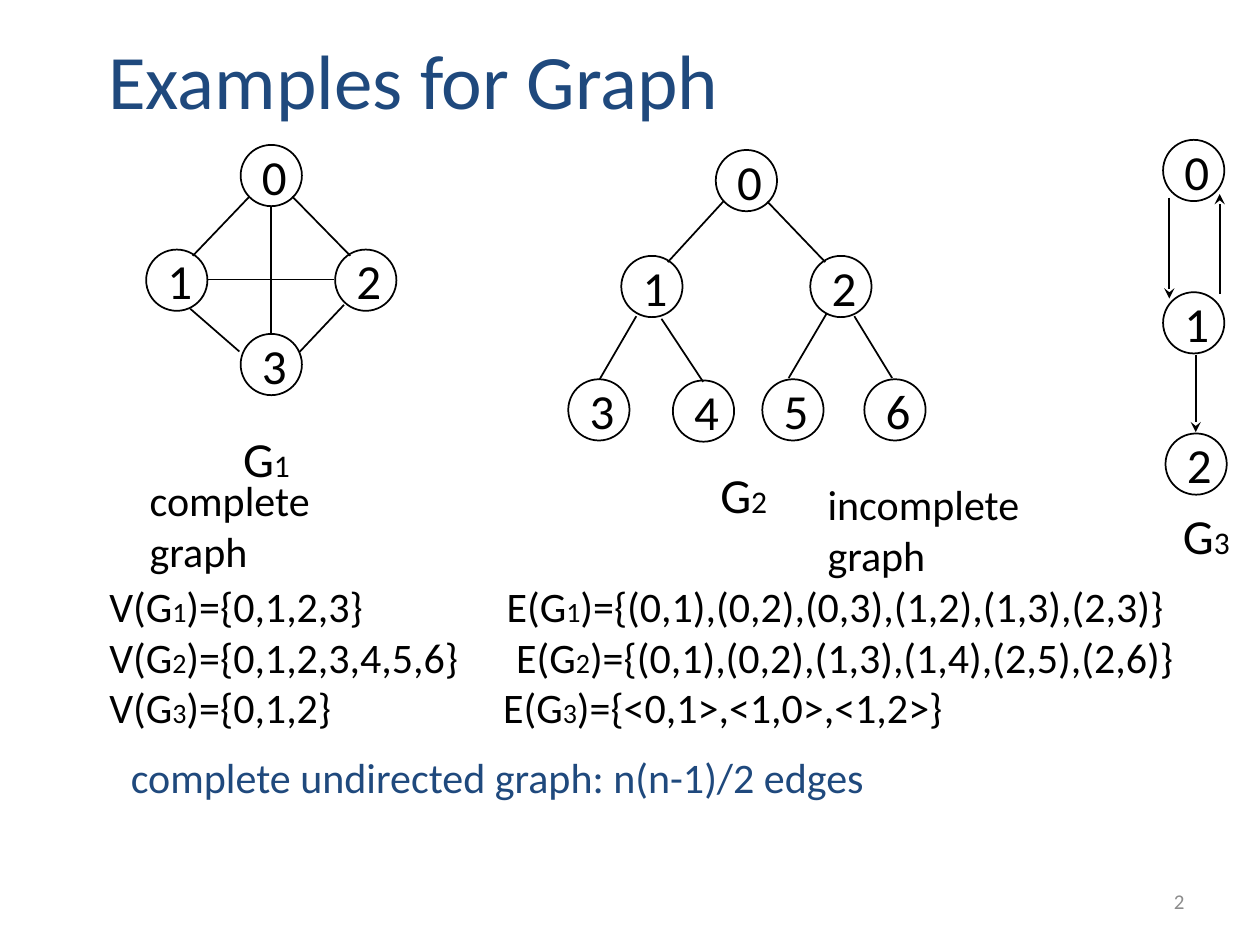
from pptx import Presentation
from pptx.dml.color import RGBColor
from pptx.enum.shapes import MSO_CONNECTOR, MSO_SHAPE
from pptx.enum.text import MSO_ANCHOR, PP_ALIGN
from pptx.oxml.ns import qn
from pptx.util import Pt
from lxml.etree import SubElement

BLACK = RGBColor(0x00, 0x00, 0x00)
WHITE = RGBColor(0xFF, 0xFF, 0xFF)
NAVY = RGBColor(0x1F, 0x49, 0x7D)
GREY = RGBColor(0x8C, 0x8C, 0x8C)
FONT = "Calibri"
NODE_SIZE = 35

TITLE = "Examples for Graph"
GRAPHS = [
    {
        "name": "1", "label": (131.8, 241.2), "directed": False,
        "nodes": [(137.5, 82.8), (83.5, 142.6), (191.5, 142.6), (137.5, 190.8)],
        "edges": [
            (154.8, 118.1, 154.8, 190.1), (118.8, 159.8, 190.8, 159.8),
            (142.6, 112.3, 110.2, 146.2), (167, 112.3, 200.2, 146.2),
            (108.7, 176.4, 136.8, 200.9), (196.6, 174.2, 171.4, 200.9),
        ],
    },
    {
        "name": "3", "label": (668.9, 285.1), "directed": True,
        "nodes": [(664.6, 79.9), (664.6, 167), (666, 247.7)],
        "edges": [
            (683.3, 203, 683.3, 247), (697, 167.8, 697, 110.9),
            (668.2, 113, 668.2, 170.6),
        ],
    },
    {
        "name": "2", "label": (404.6, 262.1), "directed": False,
        "nodes": [
            (409, 85.7), (355, 146.2), (463, 146.2), (324.7, 216.7),
            (384.5, 217.4), (435.6, 216.7), (493.9, 216.7),
        ],
        "edges": [
            (413.3, 115.2, 381.6, 149.8), (438.5, 115.2, 471.6, 149.8),
            (363.6, 180.7, 342.7, 216.7), (378, 182.2, 401.8, 218.2),
            (472.3, 179.3, 450.7, 216), (488.2, 180.7, 509.8, 216),
        ],
    },
]
SETS = [
    ("1", "{0,1,2,3}", "{(0,1),(0,2),(0,3),(1,2),(1,3),(2,3)}", 227),
    ("2", "{0,1,2,3,4,5,6}", "{(0,1),(0,2),(1,3),(1,4),(2,5),(2,6)}", 232.5),
    ("3", "{0,1,2}", "{<0,1>,<1,0>,<1,2>}", 225),
]
NOTES = [
    ("complete undirected graph: n(n-1)/2 edges", (67.7, 426, 437.8, 65), NAVY, MSO_ANCHOR.TOP, False),
    ("complete graph", (78.5, 282.2, 162.7, 36), BLACK, MSO_ANCHOR.MIDDLE, True),
    ("incomplete graph", (465.8, 284.4, 181.4, 36), BLACK, MSO_ANCHOR.MIDDLE, True),
]


def set_font(font, size, color=BLACK):
    font.name = FONT
    font.size = Pt(size)
    font.color.rgb = color


def set_frame(shape, anchor, wrap):
    frame = shape.text_frame
    frame.margin_left = frame.margin_right = Pt(7.2)
    frame.margin_top = frame.margin_bottom = Pt(3.6)
    frame.vertical_anchor = anchor
    frame.word_wrap = wrap
    return frame


def add_box(page, place, anchor=MSO_ANCHOR.TOP, wrap=False):
    box = page.shapes.add_textbox(*map(Pt, place))
    return set_frame(box, anchor, wrap)


def add_spans(para, spans):
    for text, size in spans:
        span = para.add_run()
        span.text = text
        set_font(span.font, size)


def add_node(page, number, left, top):
    node = page.shapes.add_shape(
        MSO_SHAPE.OVAL, Pt(left), Pt(top), Pt(NODE_SIZE), Pt(NODE_SIZE))
    node.shadow.inherit = False
    node.fill.solid()
    node.fill.fore_color.rgb = WHITE
    node.line.color.rgb = BLACK
    node.line.width = Pt(1)
    frame = set_frame(node, MSO_ANCHOR.MIDDLE, False)
    frame.text = str(number)
    para = frame.paragraphs[0]
    para.alignment = PP_ALIGN.LEFT
    set_font(para.runs[0].font, 28)


def add_edge(page, ends, directed):
    edge = page.shapes.add_connector(MSO_CONNECTOR.STRAIGHT, *map(Pt, ends))
    edge.line.color.rgb = BLACK
    edge.line.width = Pt(1)
    if directed:
        SubElement(edge.line._get_or_add_ln(), qn("a:tailEnd"), type="stealth")
    SubElement(edge._element.spPr, qn("a:effectLst"))


def add_tab(para, position):
    tabs = SubElement(para._p.get_or_add_pPr(), qn("a:tabLst"))
    SubElement(tabs, qn("a:tab"), pos=str(Pt(position)), algn="l")


def main():
    deck = Presentation()
    deck.slide_width, deck.slide_height = Pt(720), Pt(540)
    page = deck.slides.add_slide(deck.slide_layouts[5])

    title = page.shapes.title
    title.left, title.top, title.width, title.height = map(Pt, (54.7, 0, 665.3, 90))
    frame = set_frame(title, MSO_ANCHOR.MIDDLE, True)
    frame.text = TITLE
    frame.paragraphs[0].alignment = PP_ALIGN.LEFT
    set_font(frame.paragraphs[0].runs[0].font, 44, NAVY)

    for graph in GRAPHS:
        for number, (left, top) in enumerate(graph["nodes"]):
            add_node(page, number, left, top)
        for ends in graph["edges"]:
            add_edge(page, ends, graph["directed"])
        label = add_box(page, (*graph["label"], 44, 41))
        add_spans(label.paragraphs[0], [("G", 28), (graph["name"], 18)])

    frame = add_box(page, (55.4, 328.3, 664.6, 93.6), wrap=True)
    for row, (name, vertices, edges, tab) in enumerate(SETS):
        para = frame.add_paragraph() if row else frame.paragraphs[0]
        add_tab(para, tab)
        add_spans(para, [
            ("V(G", 24), (name, 16), (f")={vertices}\tE(G", 24),
            (name, 16), (f")={edges}", 24),
        ])

    for text, place, color, anchor, wrap in NOTES:
        frame = add_box(page, place, anchor, wrap)
        frame.text = text
        set_font(frame.paragraphs[0].runs[0].font, 24, color)

    frame = add_box(page, (516, 500.4, 168, 28.8), MSO_ANCHOR.MIDDLE, True)
    frame.text = "2"
    frame.paragraphs[0].alignment = PP_ALIGN.RIGHT
    set_font(frame.paragraphs[0].runs[0].font, 12, GREY)

    deck.save("out.pptx")


if __name__ == "__main__":
    main()
